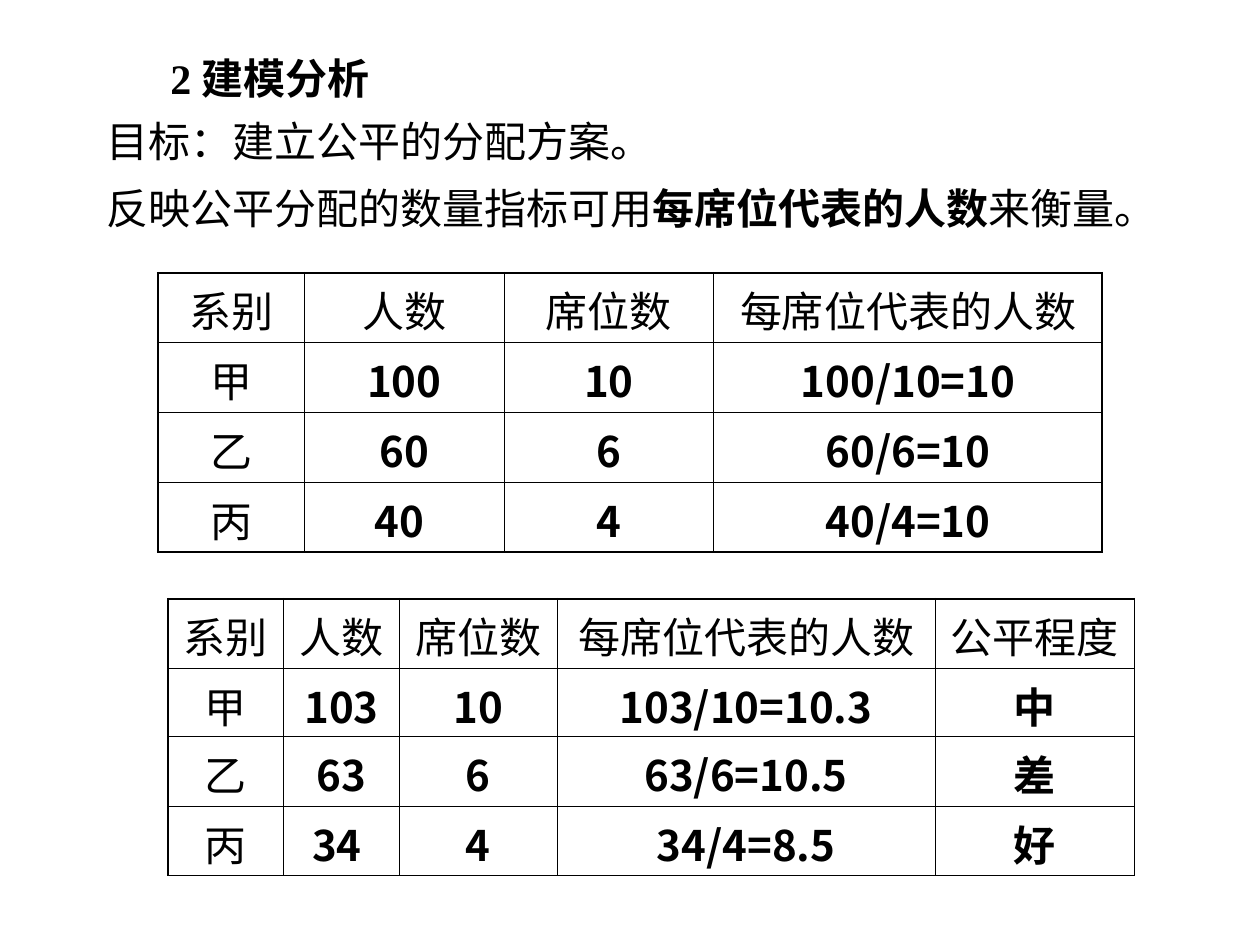
from lxml.etree import SubElement
from pptx import Presentation
from pptx.dml.color import RGBColor
from pptx.enum.text import MSO_ANCHOR as Anchor, MSO_AUTO_SIZE as AutoSize, PP_ALIGN as Align
from pptx.oxml.ns import qn
from pptx.util import Cm, Pt

CJK_FONT = "Noto Sans CJK SC"
LATIN_FONT = "Times New Roman"
BLACK = "000000"
OUTER_LINE, INNER_LINE = 1.08, 0.45

HEADERS = ["系别", "人数", "席位数", "每席位代表的人数"]
EQUAL_ROWS = [
    HEADERS,
    ["甲", "100", "10", "100/10=10"],
    ["乙", "60", "6", "60/6=10"],
    ["丙", "40 ", "4", "40/4=10"],
]
UNEQUAL_ROWS = [
    HEADERS + ["公平程度"],
    ["甲", "103", "10", "103/10=10.3", "中"],
    ["乙", "63", "6", "63/6=10.5", "差"],
    ["丙", "34 ", "4", "34/4=8.5", "好"],
]


def color(value):
    return RGBColor.from_string(value)


def format_span(span, bold=False, latin=CJK_FONT):
    span.font.size = Pt(24)
    span.font.bold = bold
    span.font.color.rgb = color(BLACK)
    span.font.name = latin
    SubElement(span.font._element, qn("a:ea"), typeface=CJK_FONT)


def place_text(box, left, top, width, height):
    box.left, box.top, box.width, box.height = Cm(left), Cm(top), Cm(width), Cm(height)
    frame = box.text_frame
    frame.auto_size = AutoSize.NONE
    frame.vertical_anchor = Anchor.TOP
    frame.word_wrap = True
    return frame


def format_para(para, space_before=0):
    para.alignment = Align.LEFT
    para.line_spacing = 0.86
    para.space_before = Pt(space_before)


def fill_title(box):
    frame = place_text(box, 3.18, 1.07, 19.89, 1.27)
    frame.text = "2 建模分析"
    para = frame.paragraphs[0]
    format_para(para)
    format_span(para.runs[0], bold=True, latin=LATIN_FONT)


def fill_body(box):
    frame = place_text(box, 1.9, 2.34, 22.23, 2.82)
    goal = frame.paragraphs[0]
    measure = frame.add_paragraph()
    goal.text = "目标：建立公平的分配方案。"
    measure.text = "反映公平分配的数量指标可用"
    for text in ("每席位代表的人数", "来衡量。"):
        measure.add_run().text = text
    for para, space_before in ((goal, 0), (measure, 14)):
        format_para(para, space_before)
        properties = para._p.get_or_add_pPr()
        properties.set("marL", "0")
        properties.set("indent", "0")
        SubElement(properties, qn("a:buNone"))
        for index, span in enumerate(para.runs):
            format_span(span, bold=index == 1)


def draw_border(cell, side, width):
    line = SubElement(cell._tc.get_or_add_tcPr(), qn(f"a:ln{side}"), w=str(Pt(width)))
    fill = SubElement(line, qn("a:solidFill"))
    SubElement(fill, qn("a:srgbClr"), val=BLACK)


def fill_cell(cell, text, bold, outer_sides):
    cell.text = text
    cell.margin_top, cell.margin_bottom = Cm(0.13), 0
    cell.vertical_anchor = Anchor.TOP
    para = cell.text_frame.paragraphs[0]
    para.alignment = Align.CENTER
    format_span(para.runs[0], bold)
    for side in "LRTB":
        draw_border(cell, side, OUTER_LINE if side in outer_sides else INNER_LINE)
    cell.fill.background()


def add_seat_table(page, rows, left, top, widths, heights):
    last_row, last_column = len(rows) - 1, len(widths) - 1
    table = page.shapes.add_table(
        len(rows), len(widths), Cm(left), Cm(top), Cm(sum(widths)), Cm(sum(heights))
    ).table
    table.first_row = table.horz_banding = False
    for column, width in zip(table.columns, widths):
        column.width = Cm(width)
    for row, height in zip(table.rows, heights):
        row.height = Cm(height)
    for r, texts in enumerate(rows):
        for c, text in enumerate(texts):
            edges = {"L": c == 0, "R": c == last_column, "T": r == 0, "B": r == last_row}
            outer_sides = [side for side, is_outer in edges.items() if is_outer]
            fill_cell(table.cell(r, c), text, r > 0 and c > 0, outer_sides)


def main():
    deck = Presentation()
    deck.slide_width, deck.slide_height = Cm(25.4), Cm(19.05)
    page = deck.slides.add_slide(deck.slide_layouts[1])
    fill_title(page.shapes.title)
    fill_body(page.placeholders[1])
    add_seat_table(page, UNEQUAL_ROWS, 3.39, 12.07,
                   [2.33, 2.33, 3.18, 7.62, 4.02], [1.41, 1.35, 1.41, 1.4])
    add_seat_table(page, EQUAL_ROWS, 3.18, 5.5,
                   [2.96, 4.02, 4.23, 7.83], [1.41, 1.41, 1.41, 1.4])
    deck.save("out.pptx")


if __name__ == "__main__":
    main()
